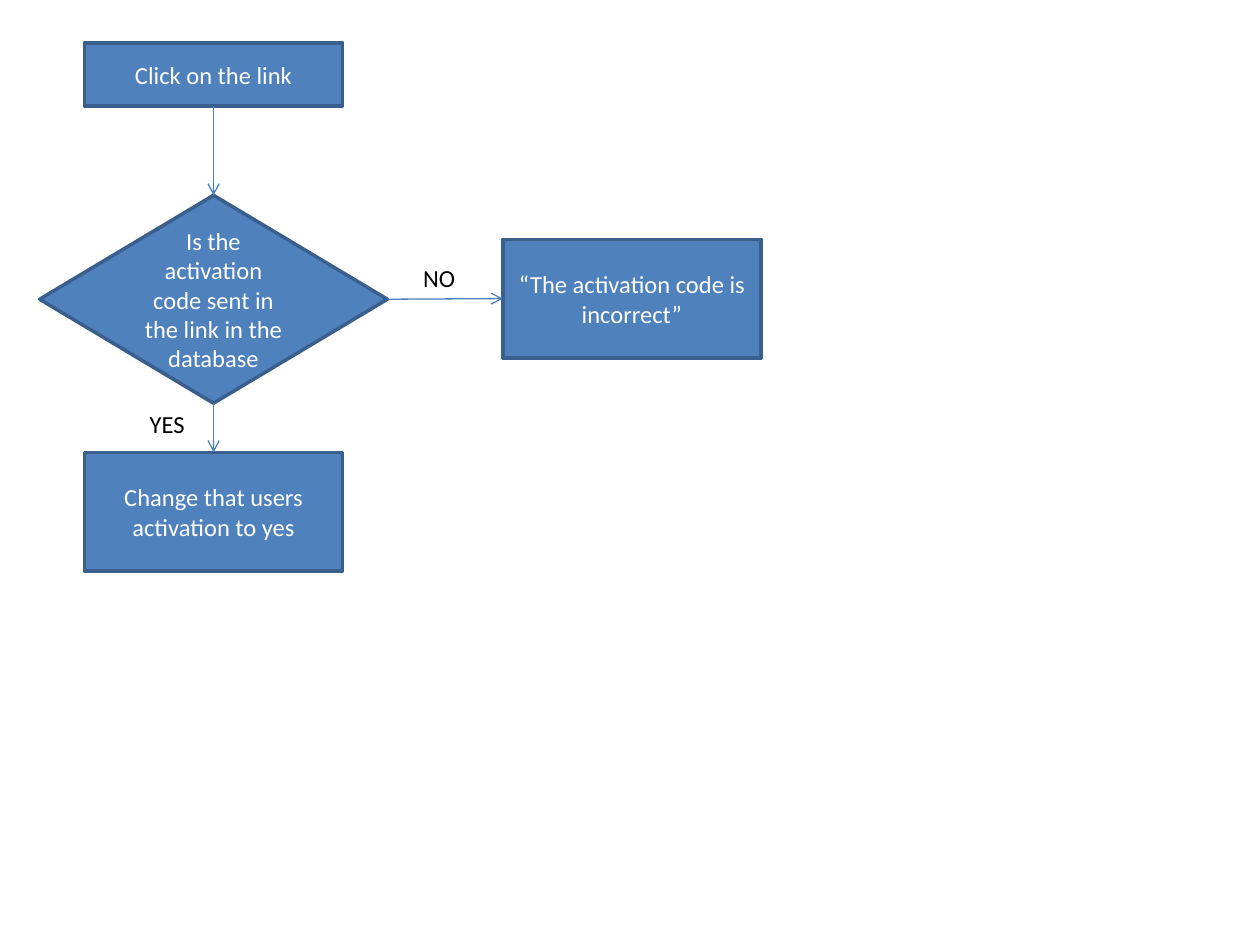
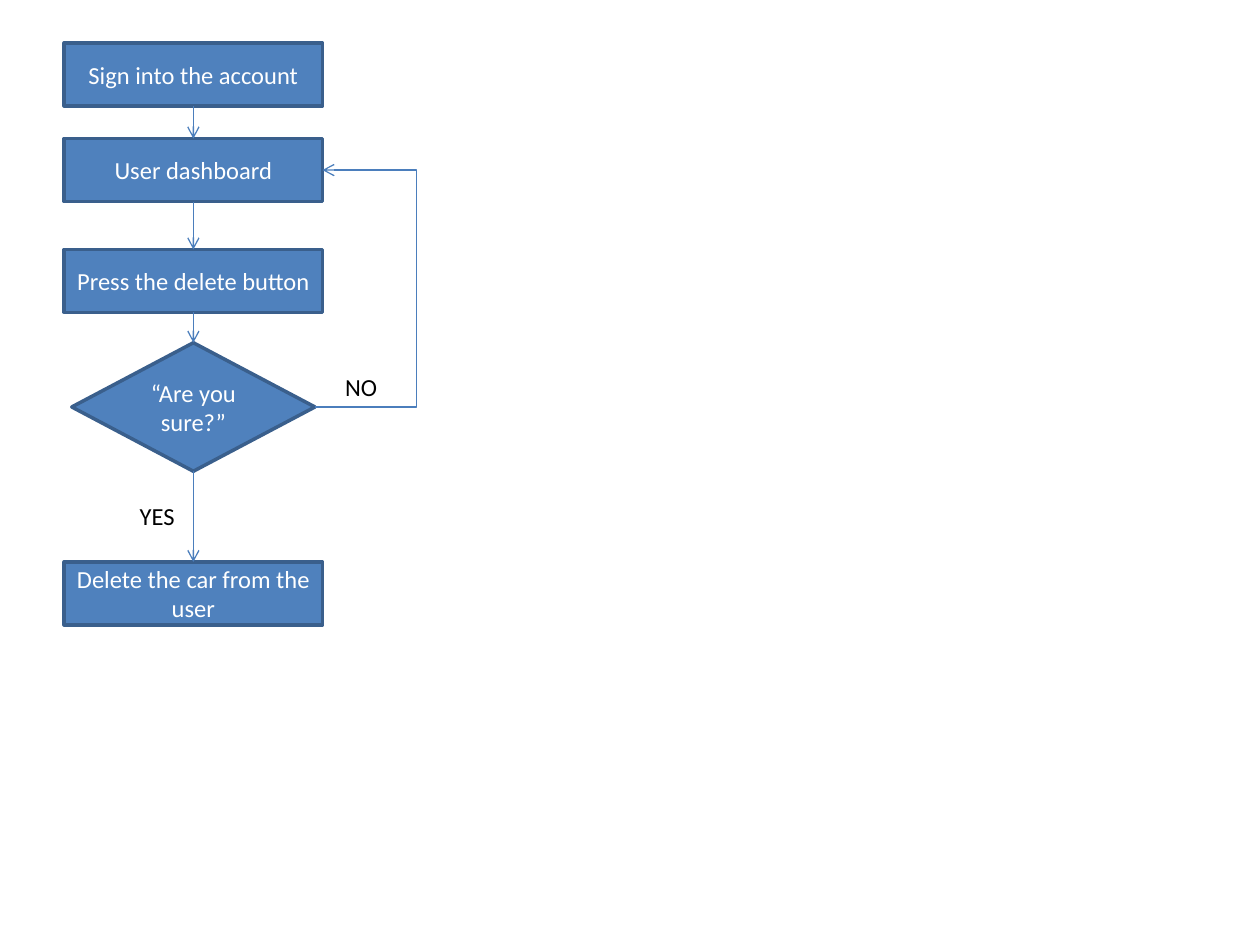
import pptx
import pptx.util
import pptx.dml.color
import pptx.enum.shapes
import pptx.enum.text
import pptx.oxml
import pptx.oxml.ns

FILL = pptx.dml.color.RGBColor(0x4F, 0x81, 0xBD)
EDGE = pptx.dml.color.RGBColor(0x3A, 0x5F, 0x8C)
ARROW = pptx.dml.color.RGBColor(0x4B, 0x7E, 0xBC)
WHITE = pptx.dml.color.RGBColor(0xFF, 0xFF, 0xFF)
BLACK = pptx.dml.color.RGBColor(0x00, 0x00, 0x00)

PROCESS = pptx.enum.shapes.MSO_SHAPE.FLOWCHART_PROCESS
DECISION = pptx.enum.shapes.MSO_SHAPE.FLOWCHART_DECISION
STRAIGHT = pptx.enum.shapes.MSO_CONNECTOR.STRAIGHT
ELBOW = pptx.enum.shapes.MSO_CONNECTOR.ELBOW
TOP, LEFT, BOTTOM, RIGHT = range(4)  # connection sites

prs = pptx.Presentation()
prs.slide_width = pptx.util.Inches(10)
prs.slide_height = pptx.util.Inches(7.5)
COL = prs.slide_width // 100
ROW = prs.slide_height // 75
BOX_W, BOX_H, TALL_H = 20.5, 5, 9.4


def set_text(sp, text, color):
    """Write one paragraph in the common text style."""
    tf = sp.text_frame
    tf.word_wrap = True
    tf.text = text
    font = tf.paragraphs[0].runs[0].font
    font.name, font.size = "Calibri", pptx.util.Pt(14)
    font.color.rgb = color


def connect(s, kind, start, start_site, end, end_site):
    """Join two shapes with an arrow and return it."""
    cn = s.shapes.add_connector(kind, 0, 0, 0, 0)
    cn.begin_connect(start, start_site)
    cn.end_connect(end, end_site)
    cn.line.color.rgb = ARROW
    cn.line.width = pptx.util.Pt(0.75)
    ns = pptx.oxml.ns.nsdecls("a")
    cn.line._get_or_add_ln().append(pptx.oxml.parse_xml(f'<a:tailEnd {ns} type="arrow"/>'))
    cn._element.spPr.append(pptx.oxml.parse_xml(f"<a:effectLst {ns}/>"))
    return cn


# Steps: shape, centre column, top row, columns wide, rows high, text
# Arrows: start step, its site, end step, its site
# Labels: left column, top row, text
activation = {
    "steps": [
        (PROCESS, 16.95, 3.4, BOX_W, BOX_H, "Click on the link"),
        (DECISION, 16.95, 15.5, 27.6, 16.5,
         "Is the activation code sent in the link in the database"),
        (PROCESS, 16.95, 35.9, BOX_W, TALL_H, "Change that users activation to yes"),
        (PROCESS, 50.15, 19, BOX_W, TALL_H, "“The activation code is incorrect”"),
    ],
    "arrows": [(0, BOTTOM, 1, TOP), (1, BOTTOM, 2, TOP), (1, RIGHT, 3, LEFT)],
    "labels": [(10.9, 32, "YES"), (32.6, 20.4, "NO")],
}
deletion = {
    "steps": [
        (PROCESS, 15.35, 3.4, BOX_W, BOX_H, "Sign into the account"),
        (PROCESS, 15.35, 11, BOX_W, BOX_H, "User dashboard"),
        (PROCESS, 15.35, 19.8, BOX_W, BOX_H, "Press the delete button"),
        (DECISION, 15.35, 27.2, 19.3, 10.2, "“Are you sure?”"),
        (PROCESS, 15.35, 44.6, BOX_W, BOX_H, "Delete the car from the user"),
    ],
    "arrows": [(i, BOTTOM, i + 1, TOP) for i in range(4)],
    "labels": [(10.1, 39.3, "YES"), (26.4, 29, "NO")],
}

for flow in (activation, deletion):
    s = prs.slides.add_slide(prs.slide_layouts[6])
    steps = []
    for shape, centre, top, width, height, text in flow["steps"]:
        sp = s.shapes.add_shape(shape, round((centre - width / 2) * COL), round(top * ROW),
                                round(width * COL), round(height * ROW))
        sp.shadow.inherit = False
        sp.fill.solid()
        sp.fill.fore_color.rgb = FILL
        sp.line.color.rgb = EDGE
        sp.line.width = pptx.util.Pt(2)
        set_text(sp, text, WHITE)
        sp.text_frame.vertical_anchor = pptx.enum.text.MSO_ANCHOR.MIDDLE
        sp.text_frame.paragraphs[0].alignment = pptx.enum.text.PP_ALIGN.CENTER
        steps.append(sp)
    for start, start_site, end, end_site in flow["arrows"]:
        connect(s, STRAIGHT, steps[start], start_site, steps[end], end_site)
    for left, top, text in flow["labels"]:
        tb = s.shapes.add_textbox(round(left * COL), round(top * ROW),
                                  round(5.4 * COL), round(3.4 * ROW))
        set_text(tb, text, BLACK)
        tb.text_frame.auto_size = pptx.enum.text.MSO_AUTO_SIZE.SHAPE_TO_FIT_TEXT

# The NO branch of the deletion flow turns back to the dashboard at column 33.1
back = connect(s, ELBOW, steps[3], RIGHT, steps[1], RIGHT)
bend = round((33.1 * COL - back.begin_x) / back.width * 100000)
guides = back._element.spPr.find(pptx.oxml.ns.qn("a:prstGeom")).get_or_add_avLst()
guides.append(pptx.oxml.parse_xml(
    f'<a:gd {pptx.oxml.ns.nsdecls("a")} name="adj1" fmla="val {bend}"/>'))

prs.save("out.pptx")
